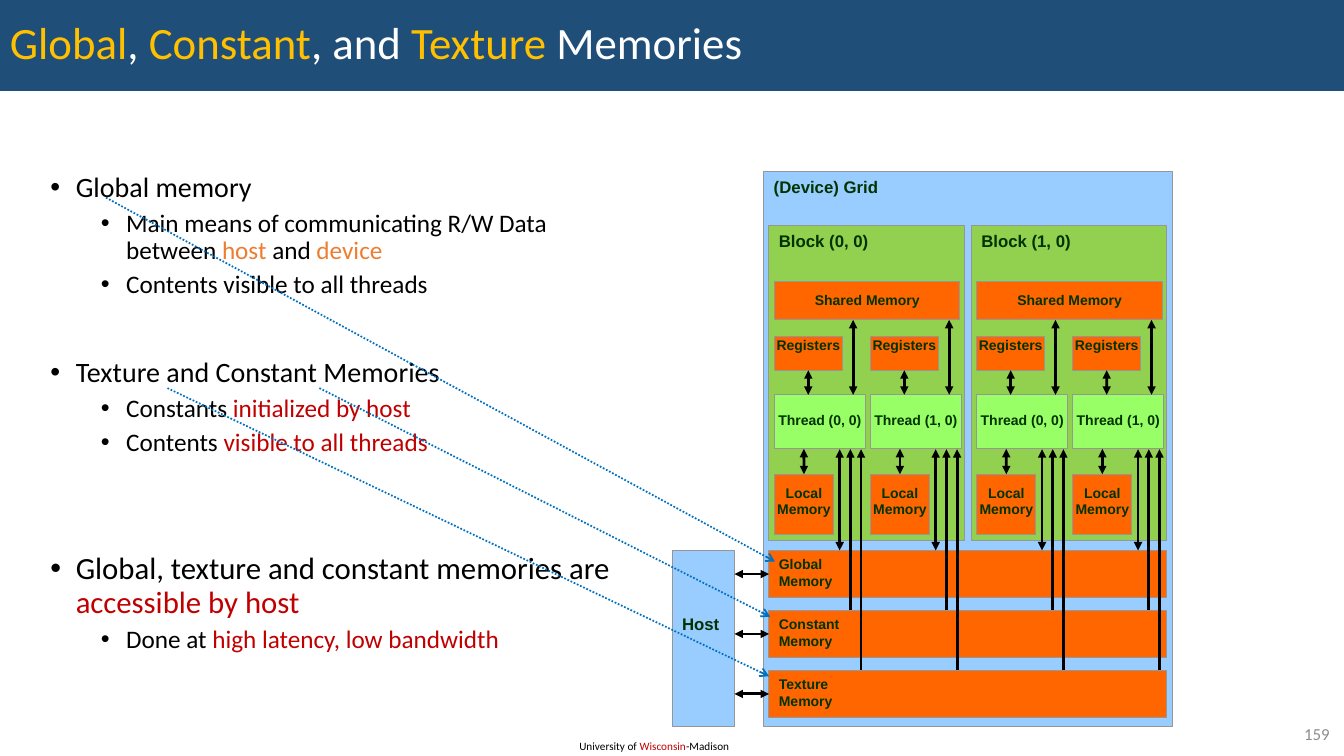
from dataclasses import dataclass
from itertools import product

from lxml.etree import SubElement
from pptx import Presentation
from pptx.dml.color import RGBColor
from pptx.enum.dml import MSO_LINE
from pptx.enum.shapes import MSO_CONNECTOR, MSO_SHAPE
from pptx.enum.text import MSO_ANCHOR, MSO_AUTO_SIZE, PP_ALIGN
from pptx.oxml.ns import qn
from pptx.util import Cm, Pt


@dataclass(frozen=True)
class Theme:
    body_font: str = "Calibri"
    diagram_font: str = "Arial"
    banner: str = "1F4E79"
    gold: str = "FFC000"
    white: str = "FFFFFF"
    black: str = "000000"
    red: str = "C00000"
    orange: str = "ED7D31"
    grey: str = "8C8C8C"
    label: str = "003300"
    outline: str = "969696"
    device: str = "99CCFF"
    block: str = "92D050"
    thread: str = "99FF66"
    memory: str = "FF6600"
    pointer: str = "0070C0"
    title_size: float = 32
    closing_size: float = 22
    topic_size: float = 20
    detail_size: float = 18
    heading_size: float = 12
    label_size: float = 10
    footer_size: float = 8


class SlideBuilder:
    def __init__(self, presentation, theme):
        self.theme = theme
        self.slide = presentation.slides.add_slide(presentation.slide_layouts[5])

    def frame(self, shape, insets=(0.25, 0.13, 0.25, 0.13), anchor=MSO_ANCHOR.TOP):
        left, top, right, bottom = insets
        settings = {
            "word_wrap": True,
            "auto_size": MSO_AUTO_SIZE.NONE,
            "vertical_anchor": anchor,
            "margin_left": Cm(left),
            "margin_top": Cm(top),
            "margin_right": Cm(right),
            "margin_bottom": Cm(bottom),
        }
        for name, value in settings.items():
            setattr(shape.text_frame, name, value)
        return shape.text_frame

    def add_runs(self, paragraph, runs, size, font, bold=False, **layout):
        for name, value in layout.items():
            setattr(paragraph, name, value)
        for text, color in runs:
            run = paragraph.add_run()
            run.text = text
            for name, value in {"name": font, "size": Pt(size), "bold": bold}.items():
                setattr(run.font, name, value)
            run.font.color.rgb = RGBColor.from_string(color)

    def title(self, runs):
        banner = self.slide.shapes.title
        place = {"left": 0, "top": 0, "width": Cm(33.87), "height": Cm(2.29)}
        for name, value in place.items():
            setattr(banner, name, value)
        banner.fill.solid()
        banner.fill.fore_color.rgb = RGBColor.from_string(self.theme.banner)
        heading = self.frame(banner, anchor=MSO_ANCHOR.MIDDLE).paragraphs[0]
        self.add_runs(heading, runs, self.theme.title_size, self.theme.body_font,
                      alignment=PP_ALIGN.LEFT, line_spacing=0.9)

    def text(self, place, runs, size, align=PP_ALIGN.LEFT, anchor=MSO_ANCHOR.TOP):
        box = self.slide.shapes.add_textbox(*map(Cm, place))
        line = self.frame(box, anchor=anchor).paragraphs[0]
        self.add_runs(line, runs, size, self.theme.body_font, alignment=align)

    def bullets(self, place, items):
        frame = self.frame(self.slide.shapes.add_textbox(*map(Cm, place)))
        for index, (level, size, gap, runs) in enumerate(items):
            paragraph = frame.add_paragraph() if index else frame.paragraphs[0]
            paragraph.level = level
            properties = paragraph._p.get_or_add_pPr()
            properties.set("marL", str(Cm(0.64 + 1.27 * level)))
            properties.set("indent", str(-Cm(0.64)))
            SubElement(properties, qn("a:buFont")).set("typeface", "Arial")
            SubElement(properties, qn("a:buChar")).set("char", "•")
            self.add_runs(paragraph, runs, size, self.theme.body_font,
                          line_spacing=0.9, space_before=Pt(gap))

    def box(self, place, fill, lines, size, **framing):
        align = framing.pop("align", PP_ALIGN.LEFT)
        shape = self.slide.shapes.add_shape(MSO_SHAPE.RECTANGLE, *map(Cm, place))
        shape.shadow.inherit = False
        shape.fill.solid()
        shape.fill.fore_color.rgb = RGBColor.from_string(fill)
        shape.line.color.rgb = RGBColor.from_string(self.theme.outline)
        shape.line.width = Pt(0.75)
        frame = self.frame(shape, **framing)
        for index, line in enumerate(lines):
            paragraph = frame.add_paragraph() if index else frame.paragraphs[0]
            self.add_runs(paragraph, [(line, self.theme.label)], size,
                          self.theme.diagram_font, bold=True, alignment=align)
        return shape

    def cell(self, place, fill, lines, top=0.0):
        return self.box(place, fill, lines, self.theme.label_size,
                        insets=(0, top, 0, 0), align=PP_ALIGN.CENTER)

    def arrow(self, start, end, head="triangle", tail="triangle", color=None,
              width=2, dash=None, begin=None, finish=None):
        connector = self.slide.shapes.add_connector(
            MSO_CONNECTOR.STRAIGHT, *map(Cm, (*start, *end)))
        if begin:
            connector.begin_connect(*begin)
        if finish:
            connector.end_connect(*finish)
        connector.line.color.rgb = RGBColor.from_string(color or self.theme.black)
        connector.line.width = Pt(width)
        if dash:
            connector.line.dash_style = dash
        outline = connector._element.spPr.find(qn("a:ln"))
        for tag, kind in (("a:headEnd", head), ("a:tailEnd", tail)):
            if kind:
                SubElement(outline, qn(tag)).set("type", kind)
        SubElement(connector._element.spPr, qn("a:effectLst"))


def draw_device(page):
    theme = page.theme
    bar_left, bar_height = 19.38, 1.19
    bar_tops = [13.87 + 1.51 * row for row in range(3)]
    page.box((19.25, 4.32, 10.29, 14), theme.device, ["(Device) Grid"],
             theme.heading_size)
    page.box((16.94, 13.87, 1.57, 4.45), theme.device, ["Host"],
             theme.heading_size, insets=(0.25, 1.59, 0.25, 0.13))
    for name, top in zip(("Global", "Constant", "Texture"), bar_tops):
        memory = page.box((bar_left, top, 10.01, bar_height), theme.memory,
                          [name, "Memory"], theme.label_size)
        middle = top + bar_height / 2
        page.arrow((18.51, middle), (bar_left, middle), finish=(memory, 1))

    block_lefts = [bar_left + 5.1 * column for column in range(2)]
    for column, left in enumerate(block_lefts):
        page.box((left, 5.69, 4.93, 7.92), theme.block, [f"Block ({column}, 0)"],
                 theme.heading_size)
        page.cell((left + 0.14, 7.09, 4.67, 0.97), theme.memory,
                  ["Shared Memory"], top=0.25)

    for block_left, thread in product(block_lefts, range(2)):
        left = block_left + 2.42 * thread
        local = page.cell((left + 0.14, 11.95, 1.48, 1.53), theme.memory,
                          ["Local", "Memory"], top=0.25)
        page.cell((left + 0.13, 9.95, 2.3, 1.36), theme.thread,
                  [f"Thread ({thread}, 0)"], top=0.41)
        registers = page.cell((left + 0.13, 8.49, 1.72, 0.84), theme.memory,
                              ["Registers"])
        page.arrow((left + 2.12, 9.95), (left + 2.12, 8.06))
        page.arrow((left + 0.99, 9.33), (left + 0.99, 9.95), begin=(registers, 2))
        page.arrow((left + 0.88, 11.95), (left + 0.88, 11.31), begin=(local, 0))
        for row, top in enumerate(bar_tops):
            x = left + 1.78 + 0.27 * row
            page.arrow((x, 11.32), (x, top), tail=None if row else "triangle")


def main():
    presentation = Presentation()
    presentation.slide_width, presentation.slide_height = Cm(33.87), Cm(19.05)
    theme = Theme()
    page = SlideBuilder(presentation, theme)
    black, red, orange = theme.black, theme.red, theme.orange
    gold, white = theme.gold, theme.white

    page.title([("Global", gold), (", ", white), ("Constant", gold),
                (", and ", white), ("Texture", gold), (" Memories", white)])
    draw_device(page)
    topic, detail = theme.topic_size, theme.detail_size
    page.bullets((1.02, 4.24, 15.04, 12.34), [
        (0, topic, 0, [("Global memory", black)]),
        (1, detail, 5, [("Main means of communicating R/W Data between ", black),
                        ("host ", orange), ("and ", black), ("device", orange)]),
        (1, detail, 5, [("Contents visible to all threads", black)]),
        (0, topic, 42, [("Texture and Constant Memories", black)]),
        (1, detail, 5, [("Constants ", black), ("initialized by host", red)]),
        (1, detail, 5, [("Contents ", black), ("visible to all threads", red)]),
        (0, theme.closing_size, 69,
         [("Global, texture and constant memories are ", black),
          ("accessible by host", red)]),
        (1, detail, 5, [("Done at ", black), ("high latency, low bandwidth", red)]),
    ])
    for start, end in (((2.67, 4.98), (19.53, 14.15)),
                       ((8.05, 9.78), (19.41, 15.54)),
                       ((4.22, 9.78), (19.38, 17.04))):
        page.arrow(start, end, head=None, tail="arrow", color=theme.pointer,
                   width=1.25, dash=MSO_LINE.ROUND_DOT)
    page.text((14.35, 18.49, 4.37, 0.61),
              [("University of ", black), ("Wisconsin", red), ("-Madison", black)],
              theme.footer_size)
    page.text((31.83, 18.11, 1.93, 0.74), [("159", theme.grey)],
              theme.heading_size, PP_ALIGN.RIGHT, MSO_ANCHOR.MIDDLE)
    presentation.save("out.pptx")


if __name__ == "__main__":
    main()
